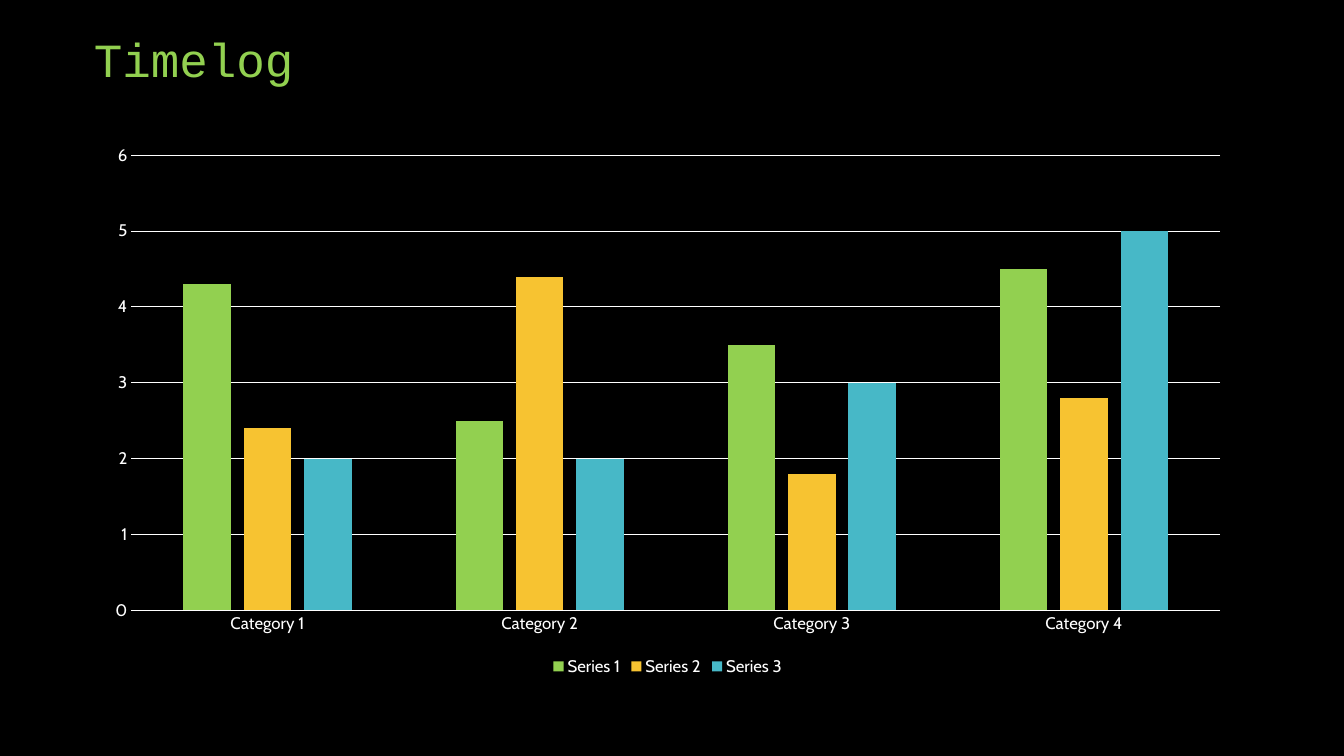
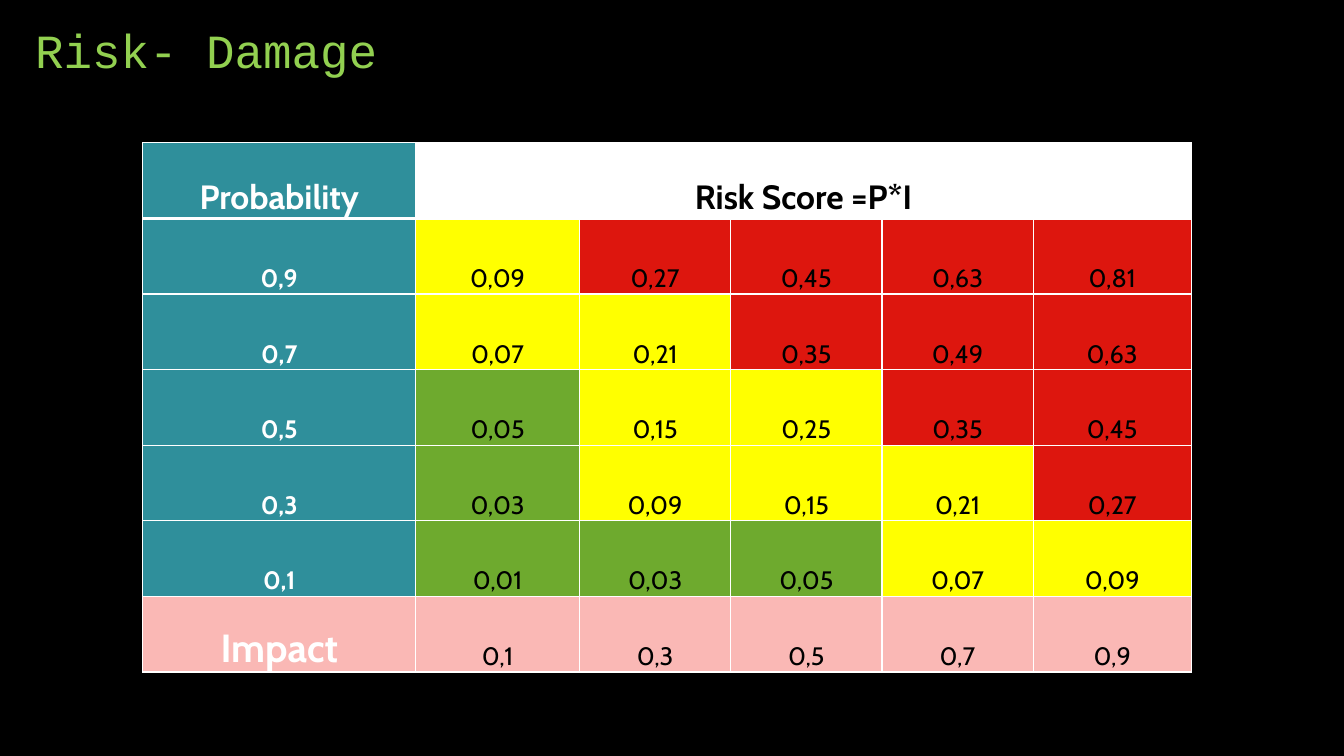
"""Build a time log chart slide and a risk matrix slide."""
from lxml import etree
from pptx import Presentation
from pptx.chart.data import CategoryChartData
from pptx.dml.color import RGBColor
from pptx.enum.chart import XL_CHART_TYPE, XL_LEGEND_POSITION, XL_TICK_MARK
from pptx.enum.text import MSO_ANCHOR, PP_ALIGN
from pptx.oxml.ns import qn
from pptx.util import Pt

COLUMNS = XL_CHART_TYPE.COLUMN_CLUSTERED
LEGEND_BOTTOM = XL_LEGEND_POSITION.BOTTOM
NO_TICK = XL_TICK_MARK.NONE
BOTTOM = MSO_ANCHOR.BOTTOM
LEFT, CENTER = PP_ALIGN.LEFT, PP_ALIGN.CENTER

BLACK = RGBColor(0x00, 0x00, 0x00)
WHITE = RGBColor(0xFF, 0xFF, 0xFF)
LIME = RGBColor(0x92, 0xD0, 0x50)
AMBER = RGBColor(0xF7, 0xC3, 0x31)
AQUA = RGBColor(0x47, 0xB8, 0xC7)
TEAL = RGBColor(0x2F, 0x8F, 0x9B)
PINK = RGBColor(0xFA, 0xB8, 0xB5)
GREEN = RGBColor(0x6E, 0xAA, 0x2E)
YELLOW = RGBColor(0xFF, 0xFF, 0x00)
RED = RGBColor(0xDD, 0x16, 0x0E)

TITLE_FONT, BODY_FONT = "Courier New", "Cabin"

CATEGORIES = ["Category 1", "Category 2", "Category 3", "Category 4"]
SERIES = [
    ("Series 1", (4.3, 2.5, 3.5, 4.5), LIME),
    ("Series 2", (2.4, 4.4, 1.8, 2.8), AMBER),
    ("Series 3", (2, 2, 3, 5), AQUA),
]

PROBABILITIES = [9, 7, 5, 3, 1]
IMPACTS = [1, 3, 5, 7, 9]
LOW_LIMIT, MEDIUM_LIMIT = 5, 25
COLUMN_WIDTHS = [195, 117, 108, 108, 108, 113]
ROW_HEIGHT = 54


def write_text(frame, text, size=18, color=BLACK, bold=False, font=BODY_FONT,
               align=CENTER, spacing=1.07):
    """Put one formatted paragraph in a text frame."""
    para = frame.paragraphs[0]
    para.alignment = align
    para.line_spacing = spacing
    span = para.add_run()
    span.text = text
    span.font.size = Pt(size)
    span.font.name = font
    span.font.bold = bold
    span.font.color.rgb = color


def add_slide(deck, title, left, top):
    """Add a blank slide with a title box."""
    page = deck.slides.add_slide(deck.slide_layouts[6])
    box = page.shapes.add_textbox(Pt(left), Pt(top), Pt(720), Pt(90))
    box.text_frame.word_wrap = True
    box.text_frame.vertical_anchor = BOTTOM
    write_text(box.text_frame, title, size=34, color=LIME, font=TITLE_FONT,
               align=LEFT, spacing=0.9)
    return page


def style_font(font, size):
    """Give chart text its font, size and colour."""
    font.name = BODY_FONT
    font.size = Pt(size)
    font.color.rgb = WHITE


def style_line(line):
    """Draw a thin white chart line."""
    line.color.rgb = WHITE
    line.width = Pt(0.75)


def add_timelog_chart(page):
    """Add the clustered column chart."""
    data = CategoryChartData()
    data.categories = CATEGORIES
    for name, values, _ in SERIES:
        data.add_series(name, values)
    chart = page.shapes.add_chart(
        COLUMNS, Pt(66), Pt(96), Pt(822), Pt(390), data).chart
    chart.has_title = False
    style_font(chart.font, 10)
    chart.has_legend = True
    chart.legend.position = LEGEND_BOTTOM
    chart.legend.include_in_layout = False
    style_font(chart.legend.font, 12)

    plot = chart.plots[0]
    plot.gap_width, plot.overlap = 219, -27
    plot.vary_by_categories = False
    for series, (_, _, color) in zip(plot.series, SERIES):
        series.format.fill.solid()
        series.format.fill.fore_color.rgb = color

    for axis in (chart.category_axis, chart.value_axis):
        axis.major_tick_mark = axis.minor_tick_mark = NO_TICK
        style_font(axis.tick_labels.font, 12)
    style_line(chart.category_axis.format.line)
    values_axis = chart.value_axis
    values_axis.minimum_scale, values_axis.maximum_scale = 0, 6
    values_axis.major_unit = 1
    values_axis.format.line.fill.background()
    style_line(values_axis.major_gridlines.format.line)


def add_borders(cell, bottom):
    """Draw white borders, with the bottom one in its own width."""
    properties = cell._tc.get_or_add_tcPr()
    for side, width in (("L", 1), ("R", 1), ("T", 1), ("B", bottom)):
        line = etree.SubElement(properties, qn(f"a:ln{side}"), w=str(Pt(width)))
        fill = etree.SubElement(line, qn("a:solidFill"))
        etree.SubElement(fill, qn("a:srgbClr"), val=str(WHITE))


def fill_cell(cell, text, fill, bottom=1, **text_format):
    """Set the text, fill, margins and borders of a cell."""
    add_borders(cell, bottom)
    cell.fill.solid()
    cell.fill.fore_color.rgb = fill
    cell.vertical_anchor = BOTTOM
    cell.margin_left = cell.margin_right = Pt(5)
    cell.margin_top = cell.margin_bottom = Pt(0)
    if text:
        write_text(cell.text_frame, text, **text_format)


def tenths(value):
    """Write tenths with a decimal comma."""
    return f"0,{value}"


def score_color(score):
    """Choose the colour of a risk score given in hundredths."""
    if score <= LOW_LIMIT:
        return GREEN
    return YELLOW if score <= MEDIUM_LIMIT else RED


def add_risk_table(page):
    """Add the risk matrix with its computed scores."""
    row_count = len(PROBABILITIES) + 2
    table = page.shapes.add_table(
        row_count, len(COLUMN_WIDTHS), Pt(102), Pt(102),
        Pt(sum(COLUMN_WIDTHS)), Pt(row_count * ROW_HEIGHT)).table
    table.first_row = table.horz_banding = False
    for column, width in zip(table.columns, COLUMN_WIDTHS):
        column.width = Pt(width)
    for row in table.rows:
        row.height = Pt(ROW_HEIGHT)

    heading = {"color": WHITE, "bold": True}
    last = row_count - 1
    fill_cell(table.cell(0, 0), "Probability", TEAL, bottom=3, size=24, **heading)
    fill_cell(table.cell(last, 0), "Impact", PINK, size=28, **heading)
    for column, impact in enumerate(IMPACTS, 1):
        title = "Risk Score =P*I" if column == 1 else ""
        fill_cell(table.cell(0, column), title, WHITE, bottom=3, size=24, bold=True)
        fill_cell(table.cell(last, column), tenths(impact), PINK)
    table.cell(0, 1).merge(table.cell(0, len(IMPACTS)))

    for row, probability in enumerate(PROBABILITIES, 1):
        fill_cell(table.cell(row, 0), tenths(probability), TEAL, **heading)
        for column, impact in enumerate(IMPACTS, 1):
            score = probability * impact
            fill_cell(table.cell(row, column), f"0,{score:02d}", score_color(score))


def main():
    """Build and save the deck."""
    deck = Presentation()
    deck.slide_width, deck.slide_height = Pt(960), Pt(540)
    background = deck.slide_master.background.fill
    background.solid()
    background.fore_color.rgb = BLACK
    add_timelog_chart(add_slide(deck, "Timelog", 60, -24))
    add_risk_table(add_slide(deck, "Risk- Damage", 18, -30))
    deck.save("out.pptx")


if __name__ == "__main__":
    main()
